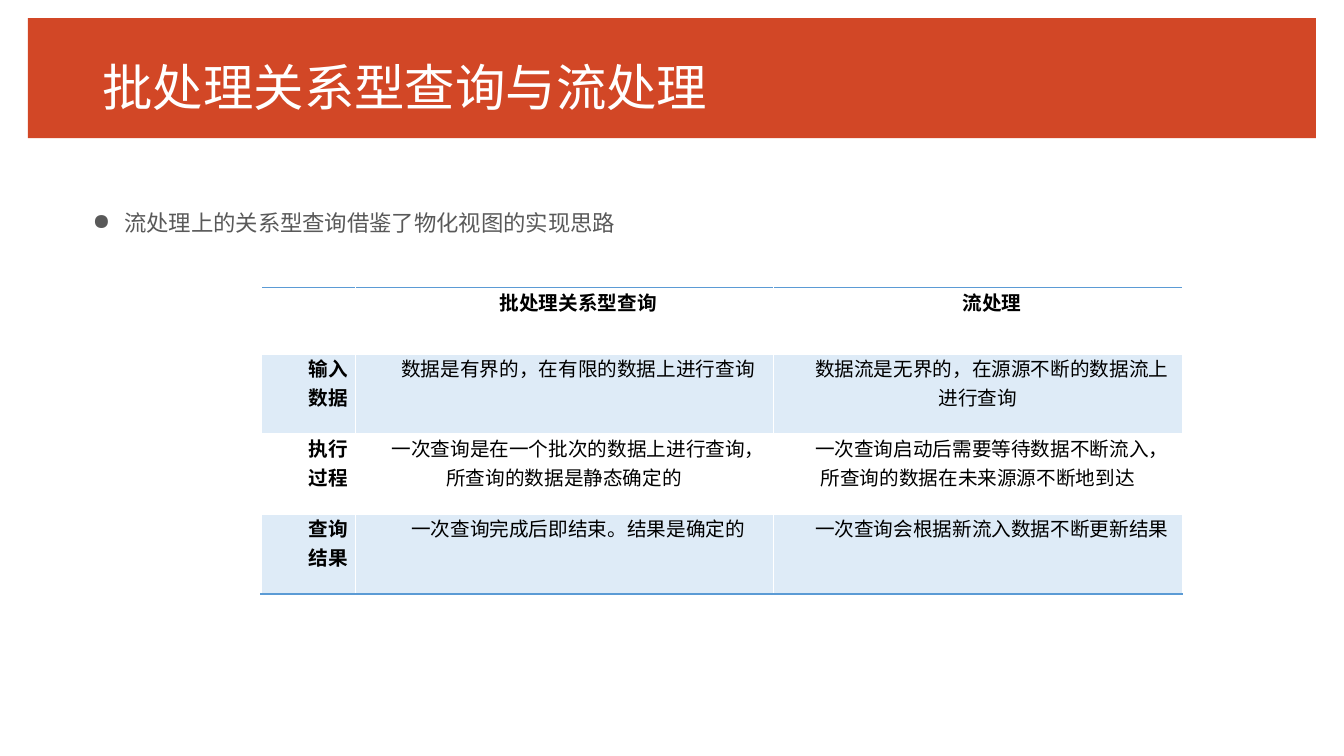
from lxml.etree import SubElement
from pptx import Presentation
from pptx.dml.color import RGBColor as RGB
from pptx.enum.shapes import MSO_SHAPE as SHAPE
from pptx.enum.text import MSO_ANCHOR as ANCHOR, PP_ALIGN as ALIGN
from pptx.oxml.ns import qn
from pptx.util import Pt

TITLE = "批处理关系型查询与流处理"
POINT = "流处理上的关系型查询借鉴了物化视图的实现思路"
COMPARISON = [
    ("", "批处理关系型查询", "流处理"),
    ("输入数据", "数据是有界的，在有限的数据上进行查询",
     "数据流是无界的，在源源不断的数据流上进行查询"),
    ("执行过程", "一次查询是在一个批次的数据上进行查询，所查询的数据是静态确定的",
     "一次查询启动后需要等待数据不断流入，所查询的数据在未来源源不断地到达"),
    ("查询结果", "一次查询完成后即结束。结果是确定的",
     "一次查询会根据新流入数据不断更新结果"),
]

THEME = {
    "banner": "D24726", "on_banner": "FFFFFF", "point": "595959",
    "cell": "000000", "band": "DEEBF7", "rule": "5B9BD5",
    "title_size": 36, "point_size": 16, "cell_size": 14,
    "cjk": "Noto Sans CJK SC", "latin": "Arial",
}
BANNER_BOX = (20, 13, 920, 85.7)
TITLE_BOX = (66.2, 24.5, 846.7, 62.6)
POINT_BOX = (66.2, 144, 398.9, 342.7)
TABLE_LEFT, TABLE_TOP = 186.5, 205.3
COLUMNS = (67.2, 298.7, 292.3)
HEADER_HEIGHT, ROW_HEIGHT = 47.5, 57.2
BULLET_INDENT, CELL_INDENT = 22.5, 20


def pts(values):
    return [Pt(value) for value in values]


def assign(target, formats):
    for name, value in formats.items():
        setattr(target, name, value)


def write(paragraph, text, color, size, font, bold=False):
    run = paragraph.add_run()
    run.text = text
    assign(run.font, {"size": Pt(THEME[size]), "name": font, "bold": bold})
    run.font.color.rgb = RGB.from_string(THEME[color])
    SubElement(run._r.get_or_add_rPr(), qn("a:ea"), typeface=THEME["cjk"])


def indent(paragraph, margin, first):
    props = paragraph._p.get_or_add_pPr()
    props.set("marL", str(Pt(margin)))
    props.set("indent", str(Pt(first)))
    return props


def text_frame(box, inset, anchor):
    frame = slide.shapes.add_textbox(*pts(box)).text_frame
    assign(frame, {"word_wrap": True, "vertical_anchor": anchor})
    assign(frame, dict(zip(
        ("margin_left", "margin_top", "margin_right", "margin_bottom"), pts(inset))))
    return frame


def rule(cell, edge):
    line = SubElement(cell._tc.get_or_add_tcPr(), qn("a:" + edge), w=str(Pt(1)))
    fill = SubElement(line, qn("a:solidFill"))
    SubElement(fill, qn("a:srgbClr"), val=THEME["rule"])


deck = Presentation()
assign(deck, {"slide_width": Pt(960), "slide_height": Pt(540)})
slide = deck.slides.add_slide(deck.slide_layouts[6])

banner = slide.shapes.add_shape(SHAPE.RECTANGLE, *pts(BANNER_BOX))
banner.shadow.inherit = False
banner.fill.solid()
banner.fill.fore_color.rgb = RGB.from_string(THEME["banner"])
banner.line.fill.background()

point = text_frame(POINT_BOX, (0, 0, 0, 0), ANCHOR.TOP).paragraphs[0]
assign(point, {"line_spacing": 1.3, "space_before": Pt(5), "space_after": Pt(10)})
SubElement(indent(point, BULLET_INDENT, -BULLET_INDENT), qn("a:buChar"), char="●")
write(point, POINT, "point", "point_size", THEME["cjk"])

title = text_frame(TITLE_BOX, (7.2, 3.6, 7.2, 3.6), ANCHOR.BOTTOM).paragraphs[0]
write(title, TITLE, "on_banner", "title_size", THEME["cjk"])

heights = [HEADER_HEIGHT] + [ROW_HEIGHT] * (len(COMPARISON) - 1)
comparison = slide.shapes.add_table(
    len(heights), len(COLUMNS),
    *pts((TABLE_LEFT, TABLE_TOP, sum(COLUMNS), sum(heights)))).table
assign(comparison, {"first_row": False, "horz_banding": False})
for column, width in zip(comparison.columns, COLUMNS):
    column.width = Pt(width)

last = len(COMPARISON) - 1
for r, aspects in enumerate(COMPARISON):
    comparison.rows[r].height = Pt(heights[r])
    for c, text in enumerate(aspects):
        cell = comparison.cell(r, c)
        assign(cell, {"margin_left": Pt(5), "margin_right": Pt(5),
                      "margin_top": 0, "margin_bottom": 0})
        if r == 0:
            rule(cell, "lnT")
        if r in (0, last):
            rule(cell, "lnB")
        if r % 2:
            cell.fill.solid()
            cell.fill.fore_color.rgb = RGB.from_string(THEME["band"])
        else:
            cell.fill.background()
        if text:
            paragraph = cell.text_frame.paragraphs[0]
            assign(paragraph, {"alignment": ALIGN.CENTER if c else ALIGN.RIGHT,
                               "space_before": Pt(2.4), "space_after": Pt(2.4)})
            indent(paragraph, 0, CELL_INDENT)
            write(paragraph, text, "cell", "cell_size", THEME["latin"],
                  bold=r == 0 or c == 0)

deck.save("out.pptx")
